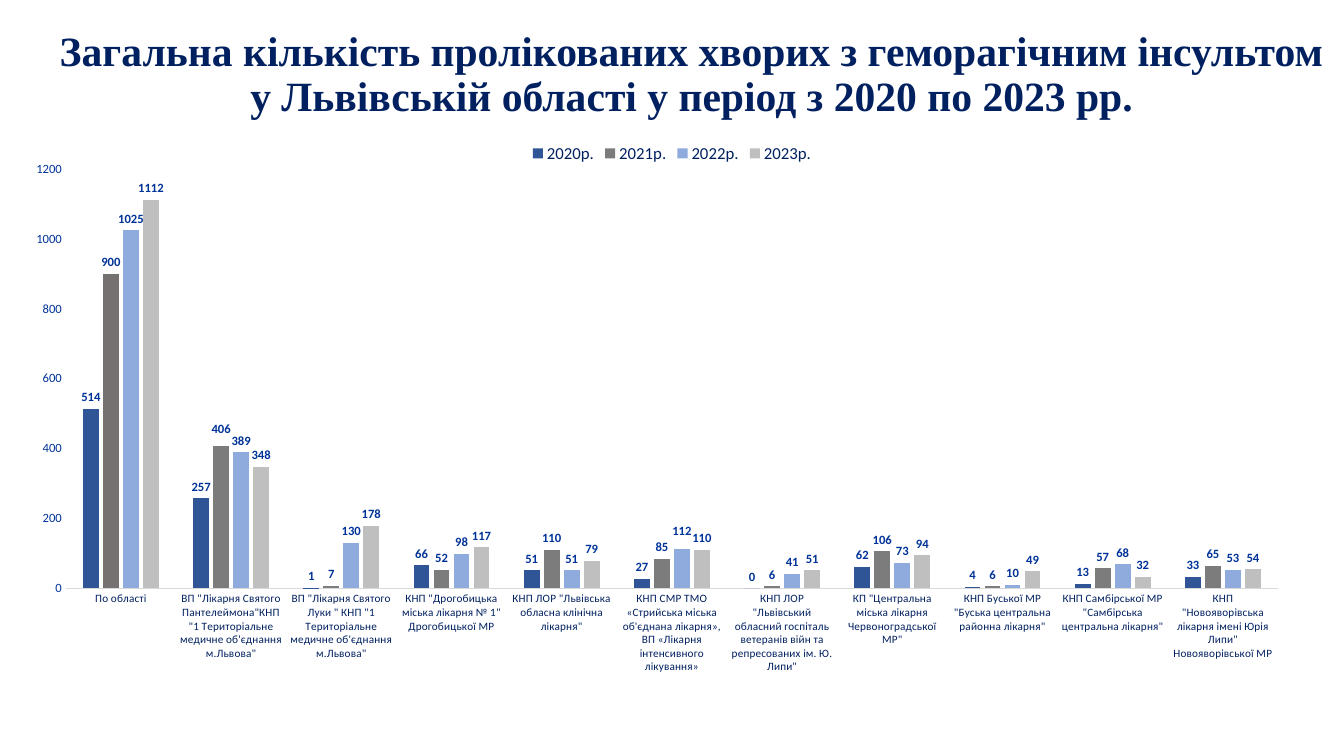
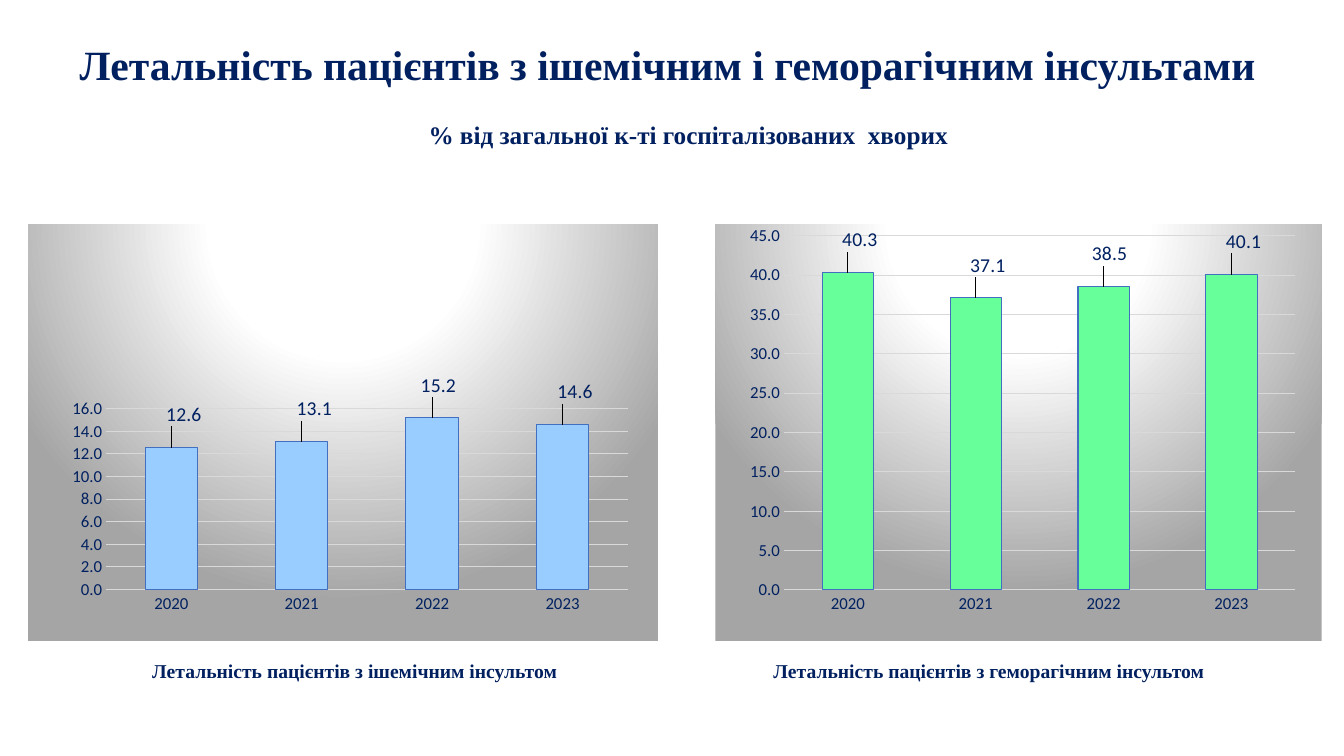
from dataclasses import dataclass

from pptx import Presentation
from pptx.chart.data import CategoryChartData
from pptx.dml.color import RGBColor
from pptx.enum import chart as ch, text as tx
from pptx.oxml import parse_xml
from pptx.oxml.ns import nsdecls
from pptx.util import Pt


@dataclass(frozen=True)
class Theme:
    """Colours, fonts and type sizes shared by the slides."""

    navy: str = "002060"
    royal: str = "003399"
    rule: str = "D9D9D9"
    outline: str = "436FC0"
    ischemic: str = "99CCFF"
    hemorrhagic: str = "66FF99"
    total_2021: str = "767171"
    years: tuple = ("2F5597", "7C7C7C", "8FAADC", "BFBFBF")
    glow: tuple = ((0, "FFFFFF"), (35, "FFFFFF"), (100, "A5A5A5"))
    serif: str = "Times New Roman"
    sans: str = "Calibri"
    title: float = 29.7
    subtitle: float = 18
    caption: float = 14
    value: float = 14
    axis: float = 12
    dense_value: float = 9
    dense_axis: float = 9
    dense_category: float = 8


def rgb(colour):
    """Turn a hex string into a colour."""
    return RGBColor.from_string(colour)


def manual_layout(x, y, w=None, h=None):
    """Return a chart layout: an inner plot area, or an offset without a size."""
    size = ""
    target = modes = ""
    if w is not None:
        target = '<c:layoutTarget val="inner"/>'
        modes = '<c:xMode val="edge"/><c:yMode val="edge"/>'
        size = f'<c:w val="{w}"/><c:h val="{h}"/>'
    return parse_xml(
        f'<c:layout {nsdecls("c")}><c:manualLayout>{target}{modes}'
        f'<c:x val="{x}"/><c:y val="{y}"/>{size}</c:manualLayout></c:layout>'
    )


class Deck:
    """Holds the theme and the current slide and draws each kind of element."""

    def __init__(self, theme):
        """Start an empty widescreen presentation."""
        self.theme = theme
        self.prs = Presentation()
        self.prs.slide_width, self.prs.slide_height = Pt(960), Pt(540)
        self.slide = None

    def new_slide(self):
        """Add a blank slide and make it current."""
        self.slide = self.prs.slides.add_slide(self.prs.slide_layouts[6])

    def heading(self, wording, box, size, wrap=True):
        """Write bold navy serif text, centred in its box when wrapped."""
        frame = self.slide.shapes.add_textbox(*map(Pt, box)).text_frame
        frame.word_wrap = wrap
        line = frame.paragraphs[0]
        line.text = wording
        if wrap:
            frame.vertical_anchor = tx.MSO_ANCHOR.MIDDLE
            line.alignment = tx.PP_ALIGN.CENTER
            line.line_spacing = 0.9
        self.style(line.font, size, self.theme.navy, self.theme.serif, True)

    def style(self, font, size, colour, face=None, bold=False):
        """Set size, colour, face and weight of a font."""
        font.size, font.bold = Pt(size), bold
        font.name = face or self.theme.sans
        font.color.rgb = rgb(colour)

    def columns(self, box, categories, series, colours, plot, top, step, gap, overlap=0):
        """Add a clustered column chart with a fixed plot area and value scale."""
        data = CategoryChartData()
        data.categories = categories
        for name, values in series.items():
            data.add_series(name, values)
        chart = self.slide.shapes.add_chart(
            ch.XL_CHART_TYPE.COLUMN_CLUSTERED, *map(Pt, box), data
        ).chart
        chart.has_title = chart.has_legend = False
        self.style(chart.font, 10, "000000")
        bars = chart.plots[0]
        bars.gap_width, bars.overlap, bars.vary_by_categories = gap, overlap, False
        for column, colour in zip(bars.series, colours):
            column.format.fill.solid()
            column.format.fill.fore_color.rgb = rgb(colour)
            column.invert_if_negative = False
        scale = chart.value_axis
        scale.minimum_scale, scale.maximum_scale, scale.major_unit = 0, top, step
        scale.has_major_gridlines = False
        for axis in (scale, chart.category_axis):
            axis.major_tick_mark = ch.XL_TICK_MARK.NONE
            axis.format.line.fill.background()
        area = chart.element.xpath("c:chart/c:plotArea")[0]
        for old in area.xpath("c:layout"):
            area.remove(old)
        area.insert(0, manual_layout(*plot))
        return chart

    def backdrop(self, chart, stops=()):
        """Fill the chart area with a circular gradient, or leave it clear."""
        fill = "<a:noFill/>"
        if stops:
            marks = "".join(
                f'<a:gs pos="{at * 1000}"><a:srgbClr val="{colour}"/></a:gs>'
                for at, colour in stops
            )
            fill = (
                f'<a:gradFill rotWithShape="1"><a:gsLst>{marks}</a:gsLst>'
                '<a:path path="circle"><a:fillToRect l="50000" t="-80000" '
                'r="50000" b="180000"/></a:path></a:gradFill>'
            )
        chart.element.xpath("c:chart")[0].addnext(parse_xml(
            f'<c:spPr {nsdecls("c", "a")}>{fill}<a:ln><a:noFill/></a:ln></c:spPr>'
        ))

    def values(self, chart, size, colour, bold, number_format, nudges):
        """Label every column, shifting the labels listed in nudges."""
        outside = ch.XL_LABEL_POSITION.OUTSIDE_END
        columns = list(chart.plots[0].series)
        for column in columns:
            labels = column.data_labels
            labels.show_value, labels.position = True, outside
            labels.number_format, labels.number_format_is_linked = number_format, False
            self.style(labels.font, size, colour, bold=bold)
        for (row, point), shift in nudges.items():
            label = columns[row].points[point].data_label
            self.style(label.font, size, colour, bold=bold)
            label.position = outside
            index = chart.element.xpath(
                f"//c:ser[{row + 1}]//c:dLbl/c:idx[@val='{point}']"
            )[0]
            index.addnext(manual_layout(*shift))

    def hospitals(self, box, categories, series):
        """Add the yearly patient counts of every hospital."""
        t = self.theme
        chart = self.columns(
            box, categories, series, t.years, (0.049, 0.061, 0.902, 0.686), 1200, 200, 219, -27
        )
        self.backdrop(chart)
        total = chart.plots[0].series[1].points[0].format.fill
        total.solid()
        total.fore_color.rgb = rgb(t.total_2021)
        chart.has_legend = True
        chart.legend.position = ch.XL_LEGEND_POSITION.TOP
        chart.legend.include_in_layout = False
        self.style(chart.legend.font, t.axis, t.navy)
        self.style(chart.value_axis.tick_labels.font, t.dense_axis, t.royal)
        self.style(chart.category_axis.tick_labels.font, t.dense_category, t.navy)
        baseline = chart.category_axis.format.line
        baseline.color.rgb, baseline.width = rgb(t.rule), Pt(0.75)
        self.values(chart, t.dense_value, t.royal, True, "General",
                    {(1, 1): (0, -0.01), (2, 5): (0, -0.01)})

    def mortality(self, box, name, rates, colour, plot, top, step):
        """Add one mortality chart on a glowing grey panel."""
        t = self.theme
        chart = self.columns(
            box, ("2020", "2021", "2022", "2023"), {name: rates}, (colour,), plot, top, step, 150
        )
        self.backdrop(chart, t.glow)
        edge = chart.plots[0].series[0].format.line
        edge.color.rgb, edge.width = rgb(t.outline), Pt(0.75)
        scale = chart.value_axis
        scale.has_major_gridlines = True
        grid = scale.major_gridlines.format.line
        grid.color.rgb, grid.width = rgb(t.rule), Pt(0.75)
        scale.tick_labels.number_format = "0.0"
        scale.tick_labels.number_format_is_linked = False
        for axis in (scale, chart.category_axis):
            self.style(axis.tick_labels.font, t.axis, t.navy)
        shifts = (0.02, 0.02, 0.01, 0.02)
        self.values(chart, t.value, t.navy, False, "0.0",
                    {(0, year): (x, -0.04) for year, x in enumerate(shifts)})


HOSPITALS = (
    "По області",
    "ВП \"Лікарня Святого Пантелеймона\"КНП \"1 Територіальне медичне об'єднання м.Львова\"",
    "ВП \"Лікарня Святого Луки \" КНП \"1 Територіальне медичне об'єднання м.Львова\"",
    'КНП "Дрогобицька міська лікарня № 1" Дрогобицької МР',
    'КНП ЛОР "Львівська обласна клінічна лікарня"',
    "КНП СМР ТМО «Стрийська міська об'єднана лікарня», ВП «Лікарня інтенсивного лікування»",
    'КНП ЛОР "Львівський обласний госпіталь ветеранів війн та репресованих ім. Ю. Липи"',
    'КП "Центральна міська лікарня Червоноградської МР"',
    'КНП Буської МР "Буська центральна районна лiкарня"',
    'КНП Самбірської МР "Самбірська центральна лікарня"',
    'КНП "Новояворівська лікарня імені Юрія Липи" Новояворівської МР',
)
PATIENTS = {
    "2020р.": (514, 257, 1, 66, 51, 27, 0, 62, 4, 13, 33),
    "2021р.": (900, 406, 7, 52, 110, 85, 6, 106, 6, 57, 65),
    "2022р.": (1025, 389, 130, 98, 51, 112, 41, 73, 10, 68, 53),
    "2023р.": (1112, 348, 178, 117, 79, 110, 51, 94, 49, 32, 54),
}


def main():
    """Build both slides and save the presentation."""
    theme = Theme()
    deck = Deck(theme)

    deck.new_slide()
    deck.heading(
        "Загальна кількість пролікованих хворих з геморагічним інсультом "
        "у Львівській області у період з 2020 по 2023 рр.",
        (29, 23, 931, 62), theme.title,
    )
    deck.hospitals((0, 94.3, 960, 436.3), HOSPITALS, PATIENTS)

    deck.new_slide()
    deck.heading("Летальність пацієнтів з ішемічним і геморагічним інсультами",
                 (12, 24, 931, 48), theme.title)
    deck.heading("% від загальної к-ті госпіталізованих  хворих",
                 (299, 82, 389, 29), theme.subtitle, wrap=False)
    panels = (
        ("Летальність пацієнтів з ішемічним інсультом", (12.6, 15.2 - 2.1, 15.2, 14.6),
         theme.ischemic, 20, 450, 42, (0.124, 0.442, 0.828, 0.434), 16, 2),
        ("Летальність пацієнтів з геморагічним інсультом", (40.3, 37.1, 38.5, 40.1),
         theme.hemorrhagic, 511, 433, 495, (0.113, 0.026, 0.844, 0.851), 45, 5),
    )
    for name, rates, colour, left, width, caption_left, plot, top, step in panels:
        deck.mortality((left, 160.6, width, 297.4), name, rates, colour, plot, top, step)
        deck.heading(name, (caption_left, 446, 423, 68), theme.caption)

    deck.prs.save("out.pptx")


if __name__ == "__main__":
    main()
